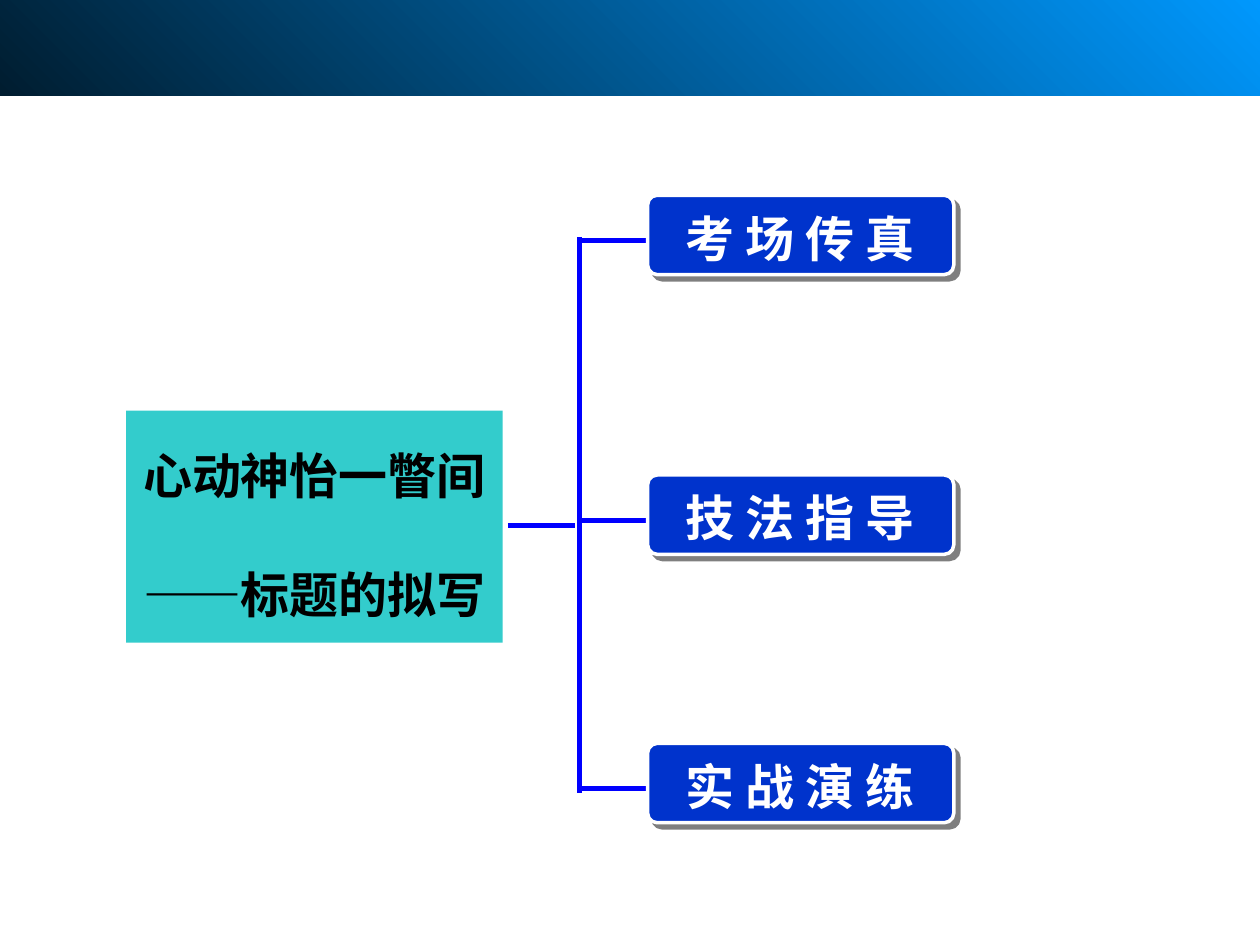
from lxml import etree
from pptx import Presentation, util as u
from pptx.dml.color import RGBColor
from pptx.enum import shapes as s, text as t
from pptx.oxml import parse_xml
from pptx.oxml.ns import qn

TOPIC = ["心动神怡一瞥间", "——标题的拟写"]
PARTS = [("考 场 传 真", 1.55), ("技 法 指 导", 3.77), ("实 战 演 练", 5.9)]
BAND = [(0, "0099FF", 100), (100, "001D30", 100)]
GLOSS = [(0, "9B9BCC", 100), (50, "333399", 0), (100, "9B9BCC", 100)]
CURVES = [
    [(0.24, 0), (0.11, 0), (0, 0.02), (0, 0.06)],
    [(0, 0.31), (0.05, 0.31), (0.02, 0.16), (0.33, 0.09)],
    [(0.33, 0.09), (0.63, 0.02), (1.21, 0.02), (1.19, 0)],
]
TRUNK, LEFT, DROP = 4.6, 5.14, 0.36
NS = 'xmlns:a="http://schemas.openxmlformats.org/drawingml/2006/main"'


def color(code):
    return RGBColor.from_string(code)


def paint(shape, code):
    shape.fill.solid()
    shape.fill.fore_color.rgb = color(code)


def blend(shape, stops, angle):
    shape.fill.background()
    marks = "".join(
        f'<a:gs pos="{pos * 1000}"><a:srgbClr val="{code}">'
        f'<a:alpha val="{alpha * 1000}"/></a:srgbClr></a:gs>'
        for pos, code, alpha in stops)
    grad = parse_xml(f'<a:gradFill {NS} rotWithShape="1"><a:gsLst>{marks}</a:gsLst>'
                     f'<a:lin ang="{angle * 60000}" scaled="1"/></a:gradFill>')
    props = shape.fill._xPr
    props.replace(props.find(qn("a:noFill")), grad)
    shape.line.fill.background()
    shape.shadow.inherit = False


def write(shape, lines, code, align, anchor, pads, space=1, gap=0):
    frame = shape.text_frame
    frame.word_wrap = True
    frame.auto_size = t.MSO_AUTO_SIZE.NONE
    frame.vertical_anchor = anchor
    (frame.margin_left, frame.margin_top,
     frame.margin_right, frame.margin_bottom) = map(u.Inches, pads)
    for i, line in enumerate(lines):
        para = frame.paragraphs[0] if i == 0 else frame.add_paragraph()
        para.alignment = align
        para.line_spacing = space
        para.space_before = u.Pt(gap if i else 0)
        run = para.add_run()
        run.text = line
        run.font.name = "Times New Roman"
        run.font.size = u.Pt(28)
        run.font.bold = True
        run.font.color.rgb = color(code)


def link(x1, y1, x2, y2):
    line = slide.shapes.add_connector(
        s.MSO_CONNECTOR.STRAIGHT, *map(u.Inches, (x1, y1, x2, y2)))
    line.line.color.rgb = color("0000FF")
    line.line.width = u.Pt(3)
    etree.SubElement(line._element.spPr, qn("a:effectLst"))


def curve(pts, steps=12):
    for i in range(steps + 1):
        k = i / steps
        w = ((1 - k) ** 3, 3 * k * (1 - k) ** 2, 3 * k * k * (1 - k), k ** 3)
        yield tuple(sum(a * p[axis] for a, p in zip(w, pts)) for axis in (0, 1))


def button(label, top):
    link(TRUNK, top + DROP, LEFT - 0.01, top + DROP)
    box = slide.shapes.add_shape(s.MSO_SHAPE.ROUNDED_RECTANGLE,
                                 *map(u.Inches, (LEFT, top, 2.43, 0.63)))
    box.adjustments[0] = 0.12
    paint(box, "0033CC")
    box.line.color.rgb = color("FFFFFF")
    box.line.width = u.Pt(2)
    box.shadow.inherit = False
    box._element.spPr.find(qn("a:effectLst")).append(parse_xml(
        f'<a:outerShdw {NS} blurRad="0" dist="{u.Pt(4.2)}" dir="2700000" algn="ctr" '
        'rotWithShape="0"><a:srgbClr val="000000"><a:alpha val="50000"/>'
        '</a:srgbClr></a:outerShdw>'))

    dots = [(LEFT + 0.15 + x, top + 0.04 + y) for part in CURVES for x, y in curve(part)]
    form = slide.shapes.build_freeform(*dots[0], scale=u.Inches(1))
    form.add_line_segments(dots[1:], close=True)
    blend(form.convert_to_shape(), GLOSS, 225)

    name = slide.shapes.add_textbox(*map(u.Inches, (LEFT + 0.2, top + 0.05, 4.11, 0.57)))
    write(name, [label], "FFFFFF", t.PP_ALIGN.LEFT, t.MSO_ANCHOR.MIDDLE,
          (0.1, 0.05, 0.1, 0.05))


deck = Presentation()
deck.slide_width, deck.slide_height = u.Inches(10), u.Inches(7.5)
slide = deck.slides.add_slide(deck.slide_layouts[5])

band = slide.shapes.add_shape(s.MSO_SHAPE.RECTANGLE,
                              *map(u.Inches, (0, -0.11, 10, 0.87)))
blend(band, BAND, 135)

topic = slide.shapes.title
topic.left, topic.top, topic.width, topic.height = map(u.Inches, (1, 3.26, 2.99, 1.84))
paint(topic, "33CCCC")
write(topic, TOPIC, "000000", t.PP_ALIGN.CENTER, t.MSO_ANCHOR.TOP,
      (0.1, 0.04, 0.1, 0.16), space=1.5, gap=17.5)

link(4.03, 4.17, 4.56, 4.17)
link(TRUNK, PARTS[0][1] + DROP - 0.03, TRUNK, PARTS[-1][1] + DROP + 0.03)
for label, top in PARTS:
    button(label, top)

deck.save("out.pptx")
